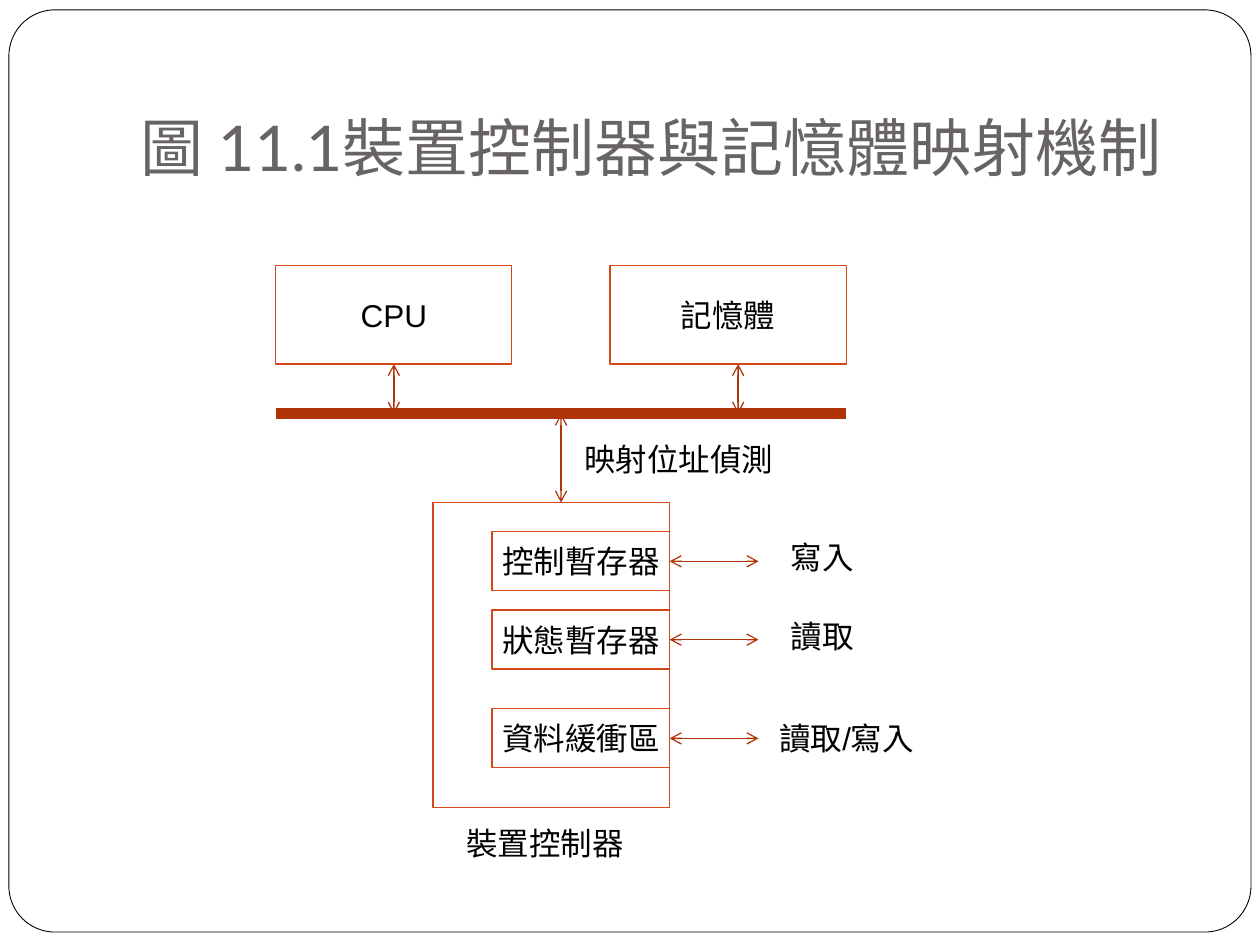
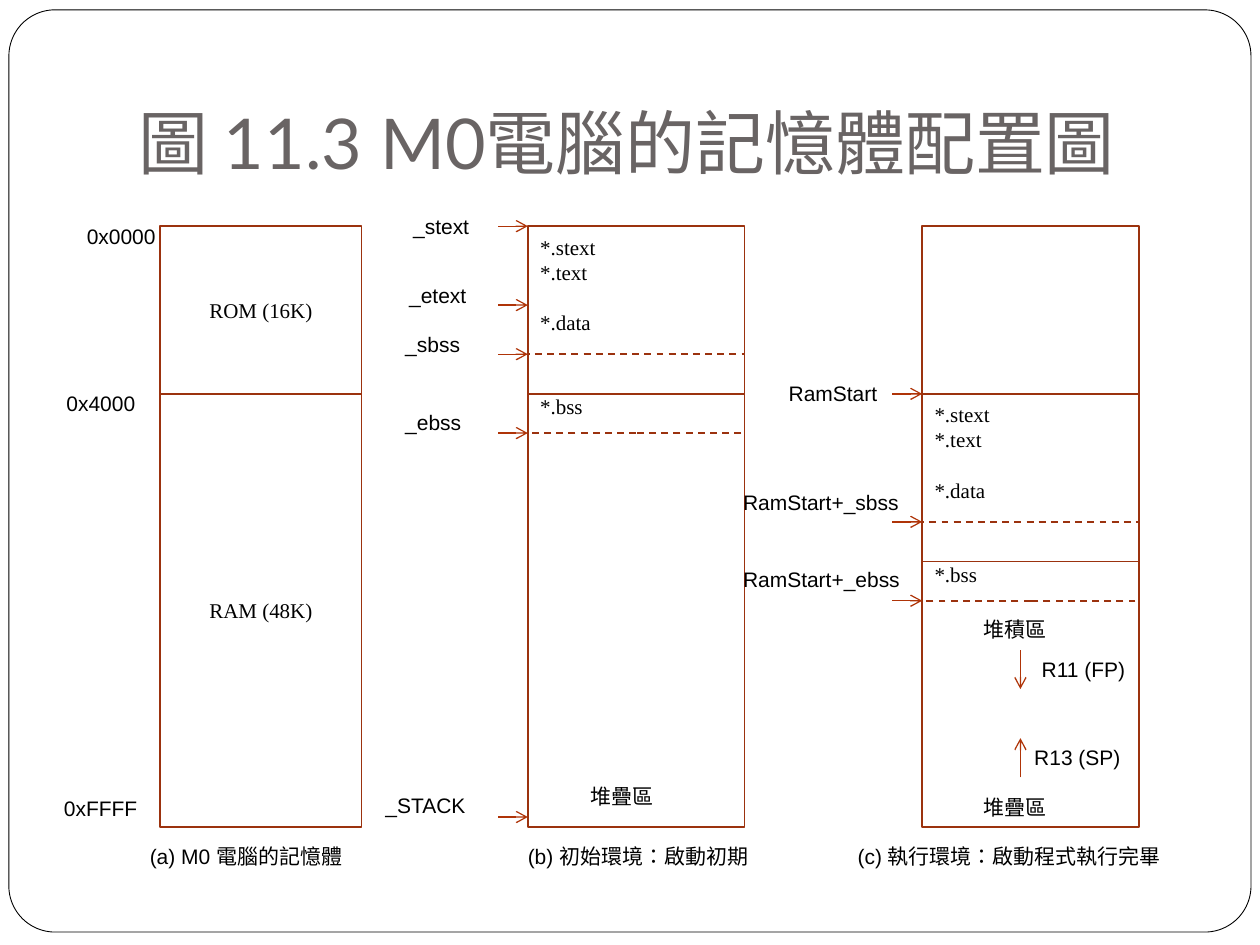
from typing import Any, NamedTuple

from pptx import Presentation
from pptx.dml.color import RGBColor
from pptx.enum import dml, lang, shapes, text
from pptx.oxml import ns, xmlchemy
from pptx.util import Cm, Pt

BLACK = RGBColor(0x00, 0x00, 0x00)
WHITE = RGBColor(0xFF, 0xFF, 0xFF)
GREY = RGBColor(0x69, 0x64, 0x64)
ORANGE = RGBColor(0xD3, 0x48, 0x17)
BROWN = RGBColor(0x9B, 0x32, 0x0E)
RUST = RGBColor(0xAF, 0x34, 0x08)

SANS, SERIF, TITLE_FONT = "Arial", "Times New Roman", "Lato"
LEFT, CENTER = text.PP_ALIGN.LEFT, text.PP_ALIGN.CENTER
TOP, MIDDLE, BOTTOM = (text.MSO_ANCHOR.TOP, text.MSO_ANCHOR.MIDDLE,
                       text.MSO_ANCHOR.BOTTOM)
INSETS = {"margin_left": Cm(0.25), "margin_right": Cm(0.25),
          "margin_top": Cm(0.13), "margin_bottom": Cm(0.13)}


class Box(NamedTuple):
    x: float
    y: float
    w: float
    h: float
    words: str = ""


class Label(NamedTuple):
    words: str
    x: float
    y: float
    w: float


class Register(NamedTuple):
    name: str
    y: float
    access: Label


class Pointer(NamedTuple):
    label: Label
    tip_x: float
    tip_y: float


# Shared drawing helpers
def put(target: Any, values: dict[str, Any]) -> None:
    for name, value in values.items():
        setattr(target, name, value)


def write(tf: Any, words: str, size: int, font: str,
          align: Any = LEFT, color: RGBColor = BLACK) -> None:
    tf.text = words
    for p in tf.paragraphs:
        p.alignment = align
        for r in p.runs:
            put(r.font, {"size": Pt(size), "name": font,
                         "language_id": lang.MSO_LANGUAGE_ID.TRADITIONAL_CHINESE})
            r.font.color.rgb = color


def add_box(slide: Any, box: Box, color: RGBColor, width: float, size: int = 12,
            font: str = SERIF, align: Any = CENTER, anchor: Any = MIDDLE,
            wrap: bool = True, dashed: bool = False) -> Any:
    sp = slide.shapes.add_shape(shapes.MSO_SHAPE.RECTANGLE,
                                *(Cm(v) for v in box[:4]))
    sp.shadow.inherit = False
    sp.fill.background()
    sp.line.color.rgb = color
    sp.line.width = Pt(width)
    if dashed:
        sp.line.dash_style = dml.MSO_LINE.DASH
    if box.words:
        put(sp.text_frame, INSETS | {"vertical_anchor": anchor, "word_wrap": wrap})
        write(sp.text_frame, box.words, size, font, align)
    return sp


def add_label(slide: Any, label: Label, size: int) -> None:
    height = 1.02 if size > 12 else 0.76
    sp = slide.shapes.add_textbox(Cm(label.x), Cm(label.y), Cm(label.w), Cm(height))
    put(sp.text_frame, INSETS | {"margin_right": 0, "word_wrap": True,
                                 "auto_size": text.MSO_AUTO_SIZE.NONE})
    write(sp.text_frame, label.words, size, SANS)


def add_line(slide: Any, x1: float, y1: float, x2: float, y2: float,
             ends: tuple[str, ...] = (), width: float = 0.75) -> None:
    line = slide.shapes.add_connector(shapes.MSO_CONNECTOR.STRAIGHT,
                                      Cm(x1), Cm(y1), Cm(x2), Cm(y2))
    line.line.color.rgb = RUST
    line.line.width = Pt(width)
    ln = line.line._get_or_add_ln()
    for end in ends:
        arrow = xmlchemy.OxmlElement(f"a:{end}")
        arrow.set("type", "arrow")
        ln.append(arrow)
    line._element.find(ns.qn("p:spPr")).append(xmlchemy.OxmlElement("a:effectLst"))


TO_TIP = ("tailEnd",)
BOTH = ("headEnd", "tailEnd")


def add_slide(prs: Any, title: str, x: float, y: float, size: int) -> Any:
    slide = prs.slides.add_slide(prs.slide_layouts[5])
    sp = slide.shapes.title
    put(sp, {"left": Cm(x), "top": Cm(y), "width": Cm(21.59), "height": Cm(3.18)})
    put(sp.text_frame, INSETS | {"margin_bottom": Cm(0.25), "word_wrap": True,
                                 "vertical_anchor": BOTTOM,
                                 "auto_size": text.MSO_AUTO_SIZE.NONE})
    write(sp.text_frame, title, size, TITLE_FONT, LEFT, GREY)
    return slide


def add_frame_to_layout(slide: Any) -> None:
    sp = slide.shapes.add_shape(shapes.MSO_SHAPE.ROUNDED_RECTANGLE,
                                Cm(0.18), Cm(0.2), Cm(25.04), Cm(18.59))
    sp.adjustments[0] = 0.05
    sp.shadow.inherit = False
    sp.fill.solid()
    sp.fill.fore_color.rgb = WHITE
    sp.line.color.rgb = BLACK
    sp.line.width = Pt(0.5)
    slide.slide_layout.shapes._spTree.insert(2, sp._element)


# Slide 1: device controller on the bus
BUS_Y = 8.34
CPU = Box(5.56, 5.36, 4.76, 1.98, "CPU")
MEMORY = Box(12.3, 5.36, 4.76, 1.98, "記憶體")
CONTROLLER = Box(8.73, 10.13, 4.77, 6.15)
REGISTER_W, REGISTER_H = 3.58, 1.19
REGISTERS = [
    Register("控制暫存器", 10.72, Label("寫入", 15.69, 10.72, 1.78)),
    Register("狀態暫存器", 12.3, Label("讀取", 15.69, 12.3, 1.78)),
    Register("資料緩衝區", 14.29, Label("讀取/寫入", 15.46, 14.37, 3.53)),
]


def build_controller(prs: Any) -> None:
    slide = add_slide(prs, "圖 11.1裝置控制器與記憶體映射機制", 2.59, 0.79, 36)
    add_frame_to_layout(slide)
    right = CONTROLLER.x + CONTROLLER.w

    boxes = [CPU, MEMORY, CONTROLLER]
    boxes += [Box(right - REGISTER_W, reg.y, REGISTER_W, REGISTER_H, reg.name)
              for reg in REGISTERS]
    for box in boxes:
        add_box(slide, box, ORANGE, 0.75, 18, SANS, wrap=False)

    for reg in REGISTERS:
        middle = reg.y + REGISTER_H / 2
        add_line(slide, right, middle, right + 1.79, middle, BOTH)
        add_label(slide, reg.access, 18)

    # Links to the bus, then the bus itself
    cpu_bottom = CPU.y + CPU.h
    for x, y1, y2 in [(7.94, cpu_bottom, BUS_Y), (14.88, cpu_bottom, BUS_Y),
                      (11.31, BUS_Y, CONTROLLER.y)]:
        add_line(slide, x, y1, x, y2, BOTH)
    add_line(slide, CPU.x, BUS_Y, MEMORY.x + MEMORY.w, BUS_Y, width=6)

    add_label(slide, Label("映射位址偵測", 11.53, 8.74, 4.32), 18)
    add_label(slide, Label("裝置控制器", 9.15, 16.48, 3.68), 18)


# Slide 2: memory maps
ROM_Y, RAM_Y = 4.56, 7.94
ROM_H, RAM_H = RAM_Y - ROM_Y, 8.73
START_X, RUN_X, MAP_W = 10.64, 18.59, 4.37
BSS_OFFSET, BSS_H = 2.58, 1.59
POINTERS = [
    Pointer(Label("_stext", 8.08, 4.17, 1.7), START_X, ROM_Y),
    Pointer(Label("_etext", 8, 5.56, 1.7), START_X, 6.15),
    Pointer(Label("_sbss", 7.92, 6.55, 1.7), START_X, ROM_Y + BSS_OFFSET),
    Pointer(Label("_ebss", 7.92, 8.13, 1.7), START_X, ROM_Y + BSS_OFFSET + BSS_H),
    Pointer(Label("_STACK", 7.52, 15.85, 2.2), START_X, 16.47),
    Pointer(Label("RamStart", 15.65, 7.54, 2.3), RUN_X, RAM_Y),
    Pointer(Label("RamStart+_sbss", 14.73, 9.73, 3.7), RUN_X, RAM_Y + BSS_OFFSET),
    Pointer(Label("RamStart+_ebss", 14.73, 11.3, 3.7), RUN_X,
            RAM_Y + BSS_OFFSET + BSS_H),
]
MAP_LABELS = [
    Label("0x0000", 1.5, 4.37, 2),
    Label("0x4000", 1.09, 7.75, 2),
    Label("0xFFFF", 1.04, 15.9, 2),
    Label("堆疊區", 11.66, 15.67, 1.8),
    Label("堆積區", 19.58, 12.29, 1.8),
    Label("堆疊區", 19.58, 15.88, 1.8),
    Label("R11 (FP)", 20.75, 13.11, 2.3),
    Label("R13 (SP)", 20.6, 14.88, 2.3),
    Label("(a) M0 電腦的記憶體", 2.77, 16.87, 4.7),
    Label("(b) 初始環境：啟動初期", 10.39, 16.87, 5.3),
    Label("(c) 執行環境：啟動程式執行完畢", 17.04, 16.87, 7),
]


def add_program(slide: Any, x: float, y: float) -> None:
    """Draw the text and data sections with the dashed bss section."""
    sections = Box(x, y, MAP_W, ROM_H, "*.stext\n*.text\n*.data")
    sp = add_box(slide, sections, BROWN, 1, align=LEFT, anchor=TOP)
    sp.text_frame.margin_top = Cm(0.16)
    sp.text_frame.paragraphs[2].space_before = Pt(14.5)
    bss = Box(x, y + BSS_OFFSET, MAP_W, BSS_H, "*.bss")
    sp = add_box(slide, bss, BROWN, 1, align=LEFT, anchor=BOTTOM, dashed=True)
    sp.text_frame.margin_bottom = Cm(0.29)


def build_memory_maps(prs: Any) -> None:
    slide = add_slide(prs, "圖 11.3 M0電腦的記憶體配置圖", 2.54, 0.76, 40)

    for box in [Box(3.23, ROM_Y, 4.06, ROM_H, "ROM (16K)"),
                Box(3.23, RAM_Y, 4.06, RAM_H, "RAM (48K)"),
                Box(START_X, RAM_Y, MAP_W, RAM_H),
                Box(RUN_X, ROM_Y, MAP_W, ROM_H),
                Box(RUN_X, RAM_Y, MAP_W, RAM_H)]:
        add_box(slide, box, BROWN, 1)
    add_program(slide, START_X, ROM_Y)
    add_program(slide, RUN_X, RAM_Y)

    # Address pointers
    for label, x, y in POINTERS:
        add_label(slide, label, 12)
        add_line(slide, x - 0.6, y, x, y, TO_TIP)

    # Heap and stack growth
    for y1, y2 in [(13.11, 13.89), (15.67, 14.88)]:
        add_line(slide, 20.57, y1, 20.57, y2, TO_TIP)
    for label in MAP_LABELS:
        add_label(slide, label, 12)


def main() -> None:
    prs = Presentation()
    put(prs, {"slide_width": Cm(25.4), "slide_height": Cm(19.05)})
    build_controller(prs)
    build_memory_maps(prs)
    prs.save("out.pptx")


if __name__ == "__main__":
    main()
